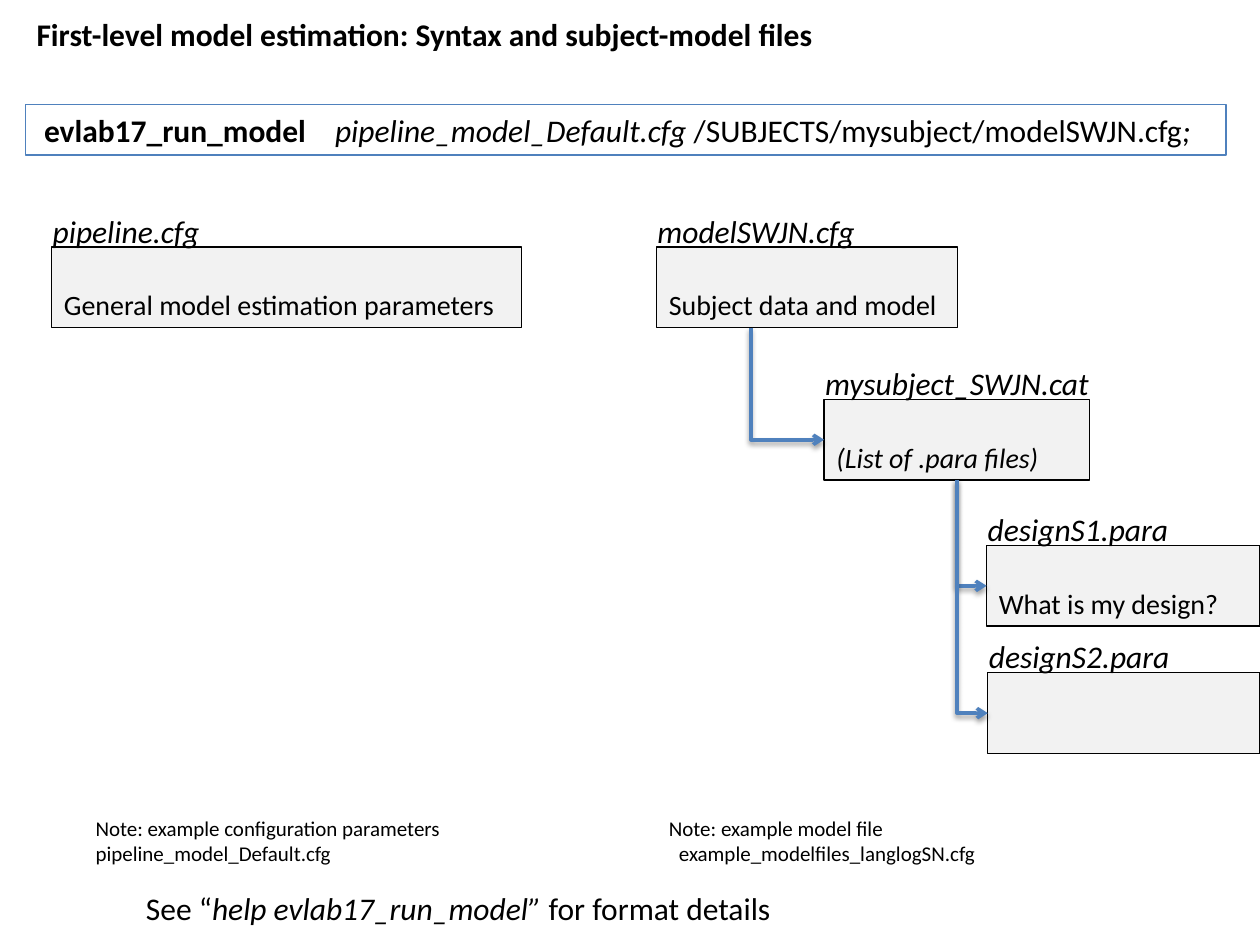
from dataclasses import dataclass

from lxml import etree
from pptx import Presentation, util as u
from pptx.dml.color import RGBColor
from pptx.enum import shapes, text
from pptx.oxml import ns

Inches = u.Inches


@dataclass(frozen=True)
class Theme:
    """Colours, font and type sizes of the slide."""
    font: str = "Calibri"
    ink: str = "000000"
    card: str = "F2F2F2"
    accent: str = "4F81BD"
    heading: int = 18
    body: int = 16
    note: int = 12
    hairline: float = 0.75
    arrow: float = 2


THEME = Theme()


def rgb(value):
    """Return the colour object of a hex value."""
    return RGBColor.from_string(value)


def add_xml(parent, tag, **attrs):
    """Append a drawing element with its attributes."""
    return etree.SubElement(parent, ns.qn(tag), {k: str(v) for k, v in attrs.items()})


def write(p, words, size=THEME.heading, bold=False, italic=False):
    """Add one formatted run to a paragraph."""
    r = p.add_run()
    r.text = words
    r.font.name, r.font.size = THEME.font, u.Pt(size)
    r.font.bold, r.font.italic = bold, italic
    r.font.color.rgb = rgb(THEME.ink)


def prepare(sp, anchor=text.MSO_ANCHOR.TOP, wrap=True):
    """Set up a shape's text frame and return its first paragraph."""
    tf = sp.text_frame
    tf.auto_size, tf.word_wrap = text.MSO_AUTO_SIZE.NONE, wrap
    tf.vertical_anchor = anchor
    tf.margin_left = tf.margin_right = Inches(0.1)
    tf.margin_top = tf.margin_bottom = Inches(0.05)
    p = tf.paragraphs[0]
    p.alignment = text.PP_ALIGN.LEFT
    return p


def add_text(s, box, wrap=True):
    """Add a text box and return its first paragraph."""
    return prepare(s.shapes.add_textbox(*map(Inches, box)), wrap=wrap)


def add_box(s, box, line, fill=None):
    """Add an outlined rectangle, filled when a colour is given."""
    sp = s.shapes.add_shape(shapes.MSO_SHAPE.RECTANGLE, *map(Inches, box))
    sp.shadow.inherit = False
    sp.line.color.rgb, sp.line.width = rgb(line), u.Pt(THEME.hairline)
    if fill:
        sp.fill.solid()
        sp.fill.fore_color.rgb = rgb(fill)
    else:
        sp.fill.background()
    return sp


def add_title(s, box, words):
    """Place and format the title placeholder."""
    sp = s.shapes.title
    sp.left, sp.top, sp.width, sp.height = map(Inches, box)
    write(prepare(sp), words, bold=True)


def add_command(s, box):
    """Add the framed command line with its arguments at a tab stop."""
    sp = add_box(s, box, THEME.accent)
    p = prepare(sp)
    sp.text_frame.margin_left = Inches(0.15)
    tabs = add_xml(p._p.get_or_add_pPr(), "a:tabLst")
    add_xml(tabs, "a:tab", pos=Inches(2.31), algn="l")
    write(p, "evlab17_run_model\t", bold=True)
    write(p, "pipeline_model_Default.cfg", italic=True)
    write(p, " /SUBJECTS/mysubject/modelSWJN.cfg")
    write(p, ";", italic=True)


def add_file(s, box, name, label_width, content="", italic=False):
    """Add a file card with its name above the top edge."""
    left, top = box[:2]
    p = prepare(add_box(s, box, THEME.ink, THEME.card), text.MSO_ANCHOR.BOTTOM)
    if content:
        write(p, content, size=THEME.body, italic=italic)
    label = add_text(s, (left - 0.09, top - 0.33, label_width, 0.4), wrap=False)
    write(label, name, italic=True)


def add_branch(s, x, parent, child):
    """Run an elbow arrow from below a parent card to a child's left side."""
    y, end_x = parent[1] + parent[3], child[0]
    end_y = child[1] + child[3] / 2
    mid_x, mid_y = (x + end_x) / 2, (y + end_y) / 2
    half_w, half_h = (end_y - y) / 2, (end_x - x) / 2
    ends = mid_x + half_w, mid_y - half_h, mid_x - half_w, mid_y + half_h
    cxn = s.shapes.add_connector(shapes.MSO_CONNECTOR.ELBOW, *map(Inches, ends))
    cxn.line.color.rgb, cxn.line.width = rgb(THEME.accent), u.Pt(THEME.arrow)
    spPr = cxn._element.spPr
    spPr.find(ns.qn("a:xfrm")).set("rot", str(270 * 60000))
    spPr.find(ns.qn("a:prstGeom")).set("prst", "bentConnector2")
    add_xml(spPr.find(ns.qn("a:ln")), "a:tailEnd", type="arrow")
    shadow = add_xml(add_xml(spPr, "a:effectLst"), "a:outerShdw", blurRad=u.Pt(3.1),
                     dist=u.Pt(1.6), dir=90 * 60000, rotWithShape=0)
    add_xml(add_xml(shadow, "a:srgbClr", val=THEME.ink), "a:alpha", val=38000)


def add_tree(s, left, top):
    """Add the model file and the files it refers to."""
    height = 0.64
    model = (left, top, 2.39, height)
    catalog = (left + 1.33, top + 1.21, 2.11, height)
    designs = [(left + 2.62, top + 2.37, 2.17, height),
               (left + 2.63, top + 3.38, 2.16, height)]
    add_file(s, model, "modelSWJN.cfg", 1.86, "Subject data and model")
    add_file(s, catalog, "mysubject_SWJN.cat", 2.4, "(List of .para files)", italic=True)
    for i, (box, content) in enumerate(zip(designs, ("What is my design?", "")), 1):
        add_file(s, box, f"designS{i}.para", 1.71, content)
        add_branch(s, catalog[0] + catalog[2] / 2, catalog, box)
    add_branch(s, left + 0.75, model, catalog)


def add_note(s, box, words, example, indent=0):
    """Add a small note with an example file on its second line."""
    p = add_text(s, box)
    write(p, words, size=THEME.note)
    second = p._parent.add_paragraph()
    second._p.get_or_add_pPr().set("marL", str(Inches(indent)))
    write(second, example, size=THEME.note)


def add_help(s, box):
    """Add the closing pointer to the help text."""
    p = add_text(s, box)
    write(p, "See “")
    write(p, "help evlab17_run_model” ", italic=True)
    write(p, "for format details")


def main():
    """Build and save the slide."""
    prs = Presentation()
    prs.slide_width, prs.slide_height = Inches(10), Inches(7.5)
    s = prs.slides.add_slide(prs.slide_layouts.get_by_name("Title Only"))
    add_title(s, (0.19, 0.07, 9.35, 0.4),
              "First-level model estimation: Syntax and subject-model files")
    add_command(s, (0.2, 0.83, 9.53, 0.4))
    add_file(s, (0.41, 1.96, 3.73, 0.64), "pipeline.cfg", 1.44,
             "General model estimation parameters")
    add_tree(s, 5.21, 1.96)
    add_note(s, (0.66, 6.42, 4.32, 0.5), "Note: example configuration parameters",
             "pipeline_model_Default.cfg")
    add_note(s, (5.21, 6.42, 4.32, 0.5), "Note: example model file",
             "example_modelfiles_langlogSN.cfg", indent=0.08)
    add_help(s, (1.06, 7.01, 8.08, 0.4))
    prs.save("out.pptx")


if __name__ == "__main__":
    main()
